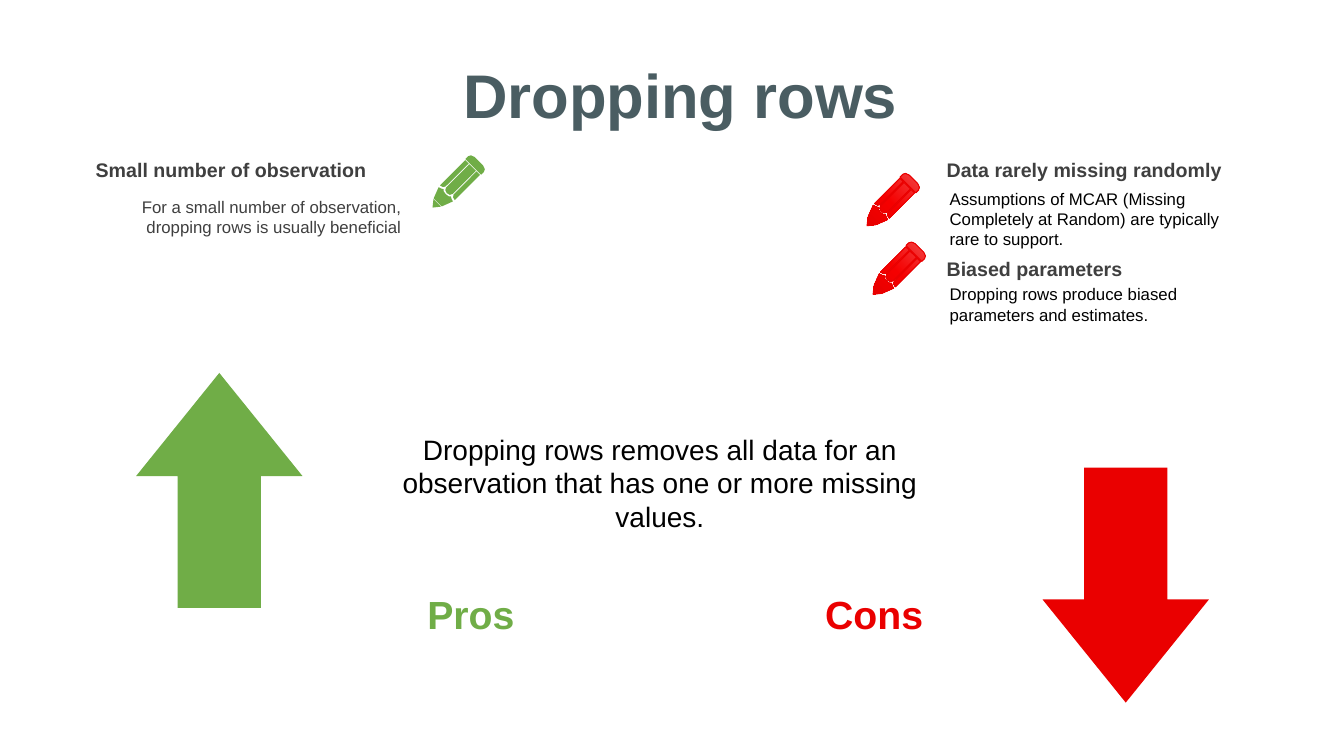
from lxml import etree
from pptx import Presentation
from pptx.dml.color import RGBColor
from pptx.enum.shapes import MSO_SHAPE
from pptx.enum.text import MSO_ANCHOR, MSO_AUTO_SIZE, PP_ALIGN
from pptx.oxml.ns import qn
from pptx.util import Inches, Pt

LEFT, CENTER, RIGHT = PP_ALIGN.LEFT, PP_ALIGN.CENTER, PP_ALIGN.RIGHT
TOP, MIDDLE = MSO_ANCHOR.TOP, MSO_ANCHOR.MIDDLE
GROW = MSO_AUTO_SIZE.SHAPE_TO_FIT_TEXT
UP_ARROW = MSO_SHAPE.UP_ARROW

COLORS = {
    "green": "70AD47",
    "red": "EA0000",
    "slate": "4A5D62",
    "gray": "3F3F3F",
    "black": "000000",
}
RED_GRADIENT = [(0, "F24747"), (50, "F50000"), (100, "E20000")]


def mirror(points):
    return [(-x, y) for x, y in reversed(points)]


RIGHT_STRIP = [(55, -237), (103, -237), (103, 117), (73, 109), (57, 88)]
LEAD_HALF = [(0, 325), (53, 259)]
CONE_HALF = [(0, 138), (35, 133), (50, 118), (75, 132), (100, 138), (57, 251)]
CORE_HALF = [(0, 124), (32, 114), (46, 88), (46, -237)]
ERASER_HALF = [(60, -325), (97, -311), (111, -285), (110, -247)]
PENCIL = [half + mirror(half) for half in (LEAD_HALF, CONE_HALF, CORE_HALF, ERASER_HALF)]
PENCIL += [RIGHT_STRIP, mirror(RIGHT_STRIP)]


class SlideBuilder:
    """Hold the slide and its style, and add each kind of element."""

    def __init__(self, presentation):
        self.slide = presentation.slides.add_slide(presentation.slide_layouts[6])
        self.font = "Arial"

    def color(self, name):
        return RGBColor.from_string(COLORS[name])

    def text(self, words, box, size, color, bold=False, align=LEFT, anchor=TOP):
        shape = self.slide.shapes.add_textbox(*map(Inches, box))
        frame = shape.text_frame
        frame.word_wrap = True
        frame.auto_size = GROW
        frame.vertical_anchor = anchor
        paragraph = frame.paragraphs[0]
        paragraph.alignment = align
        run = paragraph.add_run()
        run.text = words
        run.font.name = self.font
        run.font.size = Pt(size)
        run.font.bold = bold
        run.font.color.rgb = self.color(color)

    def paint(self, shape, color):
        shape.shadow.inherit = False
        shape.fill.solid()
        shape.fill.fore_color.rgb = self.color(color)
        shape.line.fill.background()

    def arrow(self, left, top, color, rotation=0):
        shape = self.slide.shapes.add_shape(
            UP_ARROW, Inches(left), Inches(top), Inches(1.65), Inches(2.33))
        shape.adjustments[0] = 0.5
        shape.adjustments[1] = 0.62
        shape.rotation = rotation
        self.paint(shape, color)

    def pencil(self, center_x, center_y, color, gradient=None):
        builder = self.slide.shapes.build_freeform(*PENCIL[0][0], scale=Inches(1) / 1000)
        for outline in PENCIL:
            builder.move_to(*outline[0])
            builder.add_line_segments(outline[1:], close=True)
        shape = builder.convert_to_shape(Inches(center_x), Inches(center_y))
        shape.rotation = 45
        self.paint(shape, color)
        if gradient:
            self.gradient(shape, gradient)
            shape.line.color.rgb = self.color(color)
            shape.line.width = Pt(0.75)

    def gradient(self, shape, stops):
        shape.fill.gradient()
        shape.fill.gradient_angle = 270
        stop_list = shape._element.spPr.find(qn("a:gradFill")).find(qn("a:gsLst"))
        for old_stop in list(stop_list):
            stop_list.remove(old_stop)
        for percent, value in stops:
            stop = etree.SubElement(stop_list, qn("a:gs"), pos=str(percent * 1000))
            etree.SubElement(stop, qn("a:srgbClr"), val=value)


def main():
    presentation = Presentation()
    presentation.slide_width = Inches(13.33)
    presentation.slide_height = Inches(7.5)
    page = SlideBuilder(presentation)

    for label, left, color in (("Pros", 4.03, "green"), ("Cons", 8.03, "red")):
        page.text(label, (left, 5.81, 1.28, 0.57), 28, color, bold=True, align=CENTER)

    for heading, left, top in (
        ("Small number of observation", 0.85, 1.52),
        ("Data rarely missing randomly", 9.29, 1.52),
        ("Biased parameters", 9.29, 2.5),
    ):
        page.text(heading, (left, top, 3.22, 0.34), 14, "gray", bold=True)

    page.text("For a small number of observation, dropping rows is usually beneficial",
              (0.85, 1.9, 3.23, 0.5), 12, "gray", align=RIGHT)
    page.text("Assumptions of MCAR (Missing Completely at Random) are typically rare to support.",
              (9.32, 1.82, 3.21, 0.7), 12, "black")
    page.text("Dropping rows produce biased parameters and estimates.",
              (9.32, 2.77, 3.21, 0.5), 12, "black")

    page.arrow(1.35, 3.7, "green")
    page.arrow(10.34, 4.64, "red", rotation=180)

    page.pencil(4.52, 1.83, "green")
    page.pencil(8.83, 2.01, "red", RED_GRADIENT)
    page.pencil(8.89, 2.69, "red", RED_GRADIENT)

    page.text("Dropping rows removes all data for an observation that has one or more missing values.",
              (3.8, 4.24, 5.49, 1.11), 20, "black", align=CENTER)
    page.text("Dropping rows", (2.85, 0.51, 7.8, 0.84), 44, "slate",
              bold=True, align=CENTER, anchor=MIDDLE)

    presentation.save("out.pptx")


if __name__ == "__main__":
    main()
